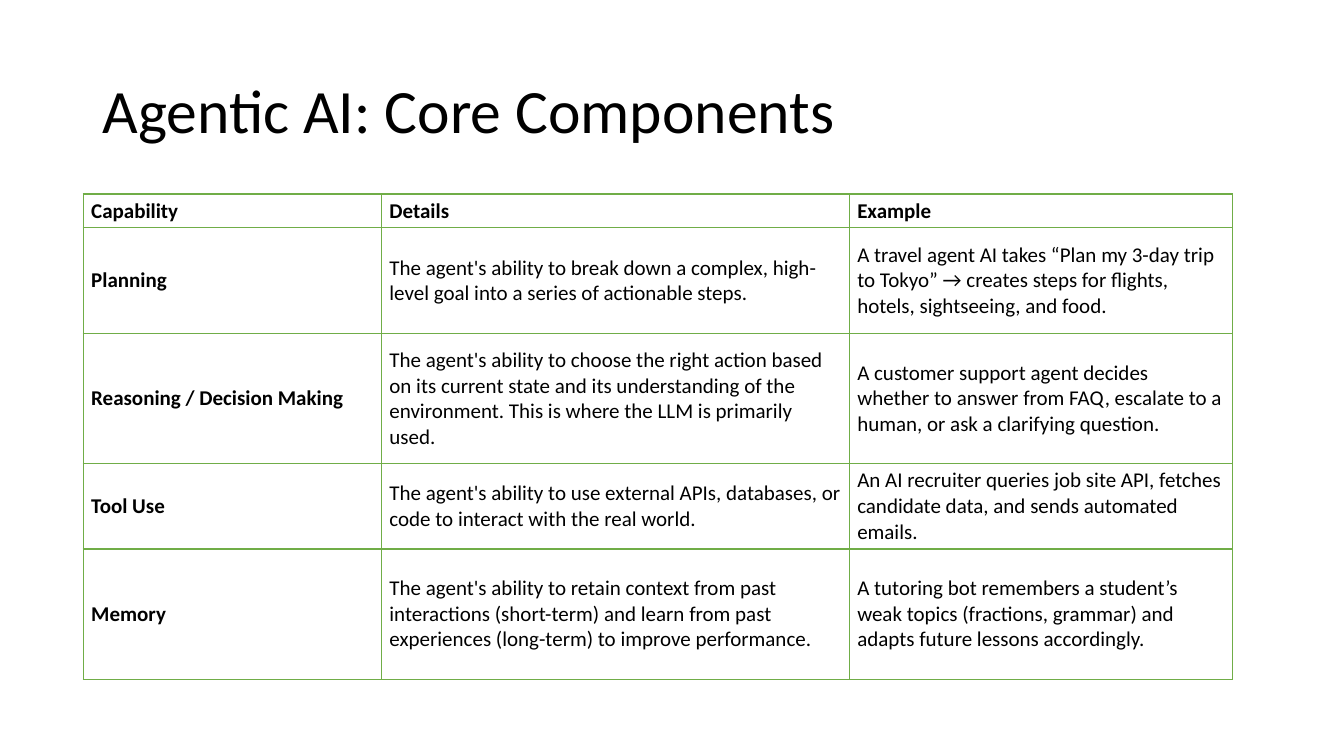
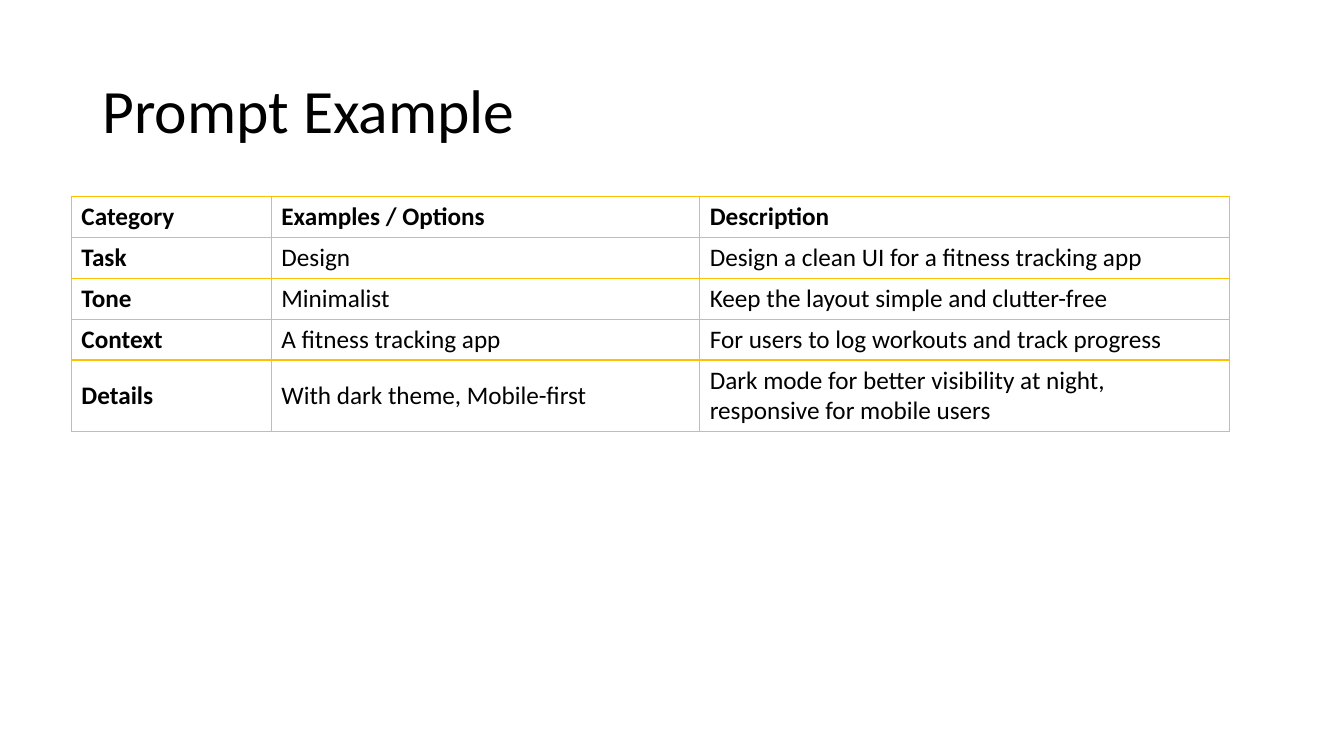
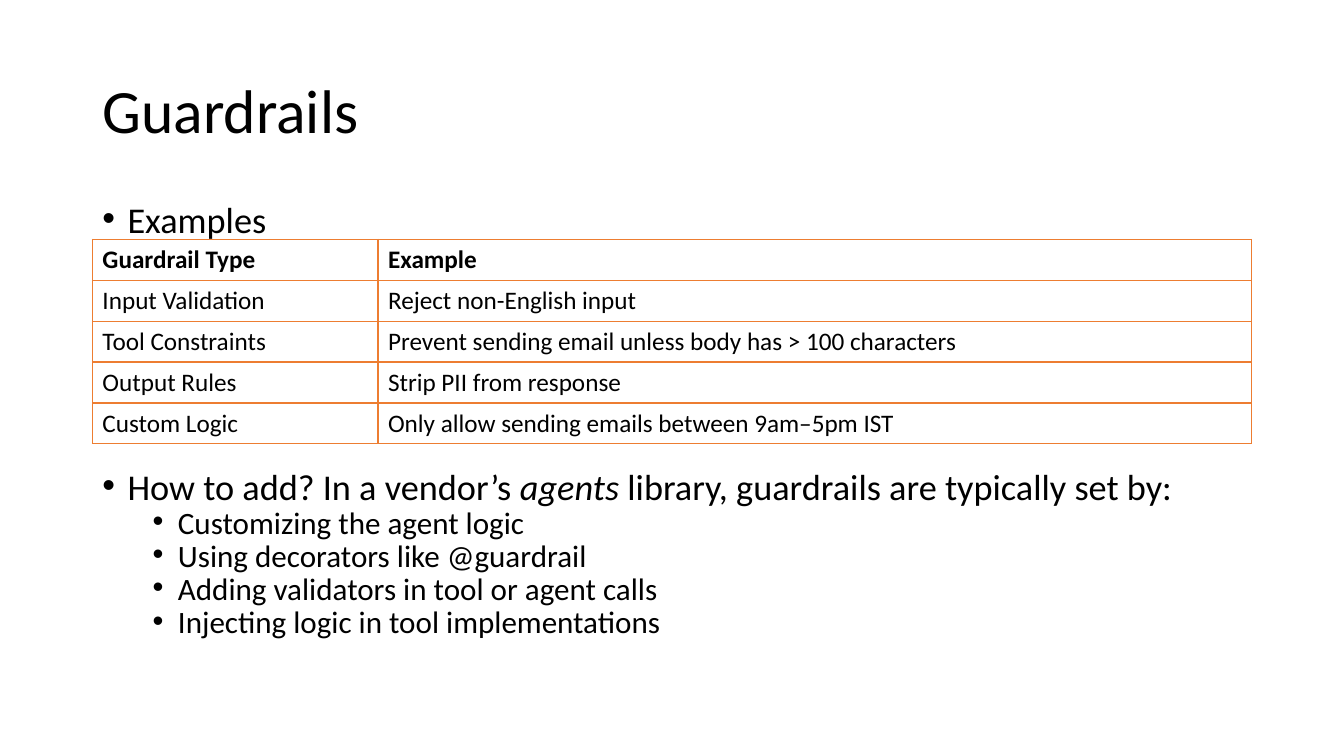
import dataclasses

import lxml.etree
import pptx
import pptx.dml.color
import pptx.enum.text
import pptx.oxml
import pptx.oxml.ns
import pptx.util


@dataclasses.dataclass(frozen=True)
class Theme:
    font: str = "Calibri"
    ink: str = "000000"
    green: str = "70AD47"
    gold: str = "FFC000"
    orange: str = "ED7D31"
    title_size: float = 44
    bullet_sizes: tuple = (25.9, 22.2)
    table_size: float = 18
    small_table_size: float = 15
    border: float = 1


class Deck:
    """Slides laid out on a grid of 160 columns by 90 rows."""

    COLS, ROWS = 160, 90
    LEFT, WIDTH = 11, 138  # content area, in columns

    def __init__(self, theme):
        self.theme = theme
        self.prs = pptx.Presentation()
        self.prs.slide_width = pptx.util.Inches(13.33)
        self.prs.slide_height = pptx.util.Inches(7.5)
        self.s = None

    def x(self, cols):
        return round(self.prs.slide_width * cols / self.COLS)

    def y(self, rows):
        return round(self.prs.slide_height * rows / self.ROWS)

    def box(self, left, top, width, height):
        return self.x(left), self.y(top), self.x(width), self.y(height)

    def run(self, p, text, size, **formats):
        r = p.add_run()
        r.text = text
        base = {"name": self.theme.font, "size": pptx.util.Pt(size)}
        for name, value in {**base, **formats}.items():
            setattr(r.font, name, value)
        r.font.color.rgb = pptx.dml.color.RGBColor.from_string(self.theme.ink)

    def slide(self, title):
        """Start a slide and format its title."""
        self.s = self.prs.slides.add_slide(self.prs.slide_layouts[5])
        sp = self.s.shapes.title
        place = self.box(self.LEFT, 4.8, self.WIDTH, 17.4)
        for name, value in zip(("left", "top", "width", "height"), place):
            setattr(sp, name, value)
        tf = sp.text_frame
        tf.word_wrap = True
        tf.auto_size = pptx.enum.text.MSO_AUTO_SIZE.NONE
        tf.vertical_anchor = pptx.enum.text.MSO_ANCHOR.MIDDLE
        p = tf.paragraphs[0]
        p.alignment = pptx.enum.text.PP_ALIGN.LEFT
        p.line_spacing = 0.9
        self.run(p, title, self.theme.title_size)

    def borders(self, cell, color):
        """Draw the four edges of a cell; they precede its fill."""
        tc_pr = cell._tc.get_or_add_tcPr()
        for i, edge in enumerate(("lnL", "lnR", "lnT", "lnB")):
            ln = lxml.etree.Element(pptx.oxml.ns.qn(f"a:{edge}"))
            ln.set("w", str(pptx.util.Pt(self.theme.border)))
            fill = lxml.etree.SubElement(ln, pptx.oxml.ns.qn("a:solidFill"))
            lxml.etree.SubElement(fill, pptx.oxml.ns.qn("a:srgbClr")).set("val", color)
            tc_pr.insert(i, ln)

    def table(self, left, top, cols, rows, cells, color, size=None,
              bold_first_col=True, margins=(0.1, 0.05)):
        shape = self.s.shapes.add_table(
            len(rows), len(cols), *self.box(left, top, sum(cols), sum(rows)))
        table = shape.table
        table.first_row = table.horz_banding = False
        for column, width in zip(table.columns, cols):
            column.width = self.x(width)
        for row, height in zip(table.rows, rows):
            row.height = self.y(height)
        side, edge = (pptx.util.Inches(m) for m in margins)
        formats = {"margin_left": side, "margin_right": side,
                   "margin_top": edge, "margin_bottom": edge,
                   "vertical_anchor": pptx.enum.text.MSO_ANCHOR.MIDDLE}
        for i, texts in enumerate(cells):
            for j, text in enumerate(texts):
                cell = table.cell(i, j)
                for name, value in formats.items():
                    setattr(cell, name, value)
                cell.fill.background()
                self.borders(cell, color)
                self.run(cell.text_frame.paragraphs[0], text,
                         size or self.theme.table_size,
                         bold=i == 0 or (bold_first_col and j == 0))

    def bullets(self, top, height, items):
        """Each item is level, space before and runs of (text, italic)."""
        sp = self.s.shapes.add_textbox(*self.box(self.LEFT, top, self.WIDTH, height))
        tf = sp.text_frame
        tf.word_wrap = True
        for i, (level, before, runs) in enumerate(items):
            p = tf.paragraphs[0] if i == 0 else tf.add_paragraph()
            p.level = level
            p_pr = p._p.get_or_add_pPr()
            p_pr.set("marL", str(pptx.util.Inches(0.25 + 0.5 * level)))
            p_pr.set("indent", str(pptx.util.Inches(-0.25)))
            for tag, key, value in (("buFont", "typeface", "Arial"),
                                    ("buChar", "char", "•")):
                lxml.etree.SubElement(p_pr, pptx.oxml.ns.qn(f"a:{tag}")).set(key, value)
            p.line_spacing = 0.7
            p.space_before = pptx.util.Pt(before)
            for text, italic in runs:
                self.run(p, text, self.theme.bullet_sizes[level], italic=italic)


def main():
    theme = Theme()
    deck = Deck(theme)
    line = 4.87  # height of a one-line table row

    # Core components
    deck.slide("Agentic AI: Core Components")
    deck.table(9.9, 23.1, (35.5, 55.7, 45.6), (3.9, 12.6, 15.5, 9.7, 15.5), (
        ("Capability", "Details", "Example"),
        ("Planning",
         "The agent's ability to break down a complex, high-level goal into a "
         "series of actionable steps.",
         "A travel agent AI takes “Plan my 3-day trip to Tokyo” → creates steps "
         "for flights, hotels, sightseeing, and food."),
        ("Reasoning / Decision Making",
         "The agent's ability to choose the right action based on its current "
         "state and its understanding of the environment. This is where the LLM "
         "is primarily used.",
         "A customer support agent decides whether to answer from FAQ, escalate "
         "to a human, or ask a clarifying question."),
        ("Tool Use",
         "The agent's ability to use external APIs, databases, or code to "
         "interact with the real world.",
         "An AI recruiter queries job site API, fetches candidate data, and "
         "sends automated emails."),
        ("Memory",
         "The agent's ability to retain context from past interactions "
         "(short-term) and learn from past experiences (long-term) to improve "
         "performance.",
         "A tutoring bot remembers a student’s weak topics (fractions, grammar) "
         "and adapts future lessons accordingly."),
    ), theme.green, size=theme.small_table_size, margins=(0.08, 0.04))

    # Prompt example
    deck.slide("Prompt Example")
    deck.table(8.5, 23.4, (23.8, 51, 63.1), (line,) * 4 + (8.45,), (
        ("Category", "Examples / Options", "Description"),
        ("Task", "Design", "Design a clean UI for a fitness tracking app"),
        ("Tone", "Minimalist", "Keep the layout simple and clutter-free"),
        ("Context", "A fitness tracking app",
         "For users to log workouts and track progress"),
        ("Details", "With dark theme, Mobile-first",
         "Dark mode for better visibility at night, responsive for mobile users"),
    ), theme.gold)

    # Guardrails: the wide space before the second bullet holds the table
    deck.slide("Guardrails")
    steps = ("Customizing the agent logic", "Using decorators like @guardrail",
             "Adding validators in tool or agent calls",
             "Injecting logic in tool implementations")
    deck.bullets(24.3, 57, [
        (0, 0, [("Examples", False)]),
        (0, 169, [("How to add? In a vendor’s ", False), ("agents ", True),
                  ("library, guardrails are typically set by:", False)]),
        *((1, 5, [(step, False)]) for step in steps),
    ])
    deck.table(deck.LEFT, 28.5, (34, 104), (line,) * 5, (
        ("Guardrail Type", "Example"),
        ("Input Validation", "Reject non-English input"),
        ("Tool Constraints", "Prevent sending email unless body has > 100 characters"),
        ("Output Rules", "Strip PII from response"),
        ("Custom Logic", "Only allow sending emails between 9am–5pm IST"),
    ), theme.orange, bold_first_col=False)

    deck.prs.save("out.pptx")


if __name__ == "__main__":
    main()
